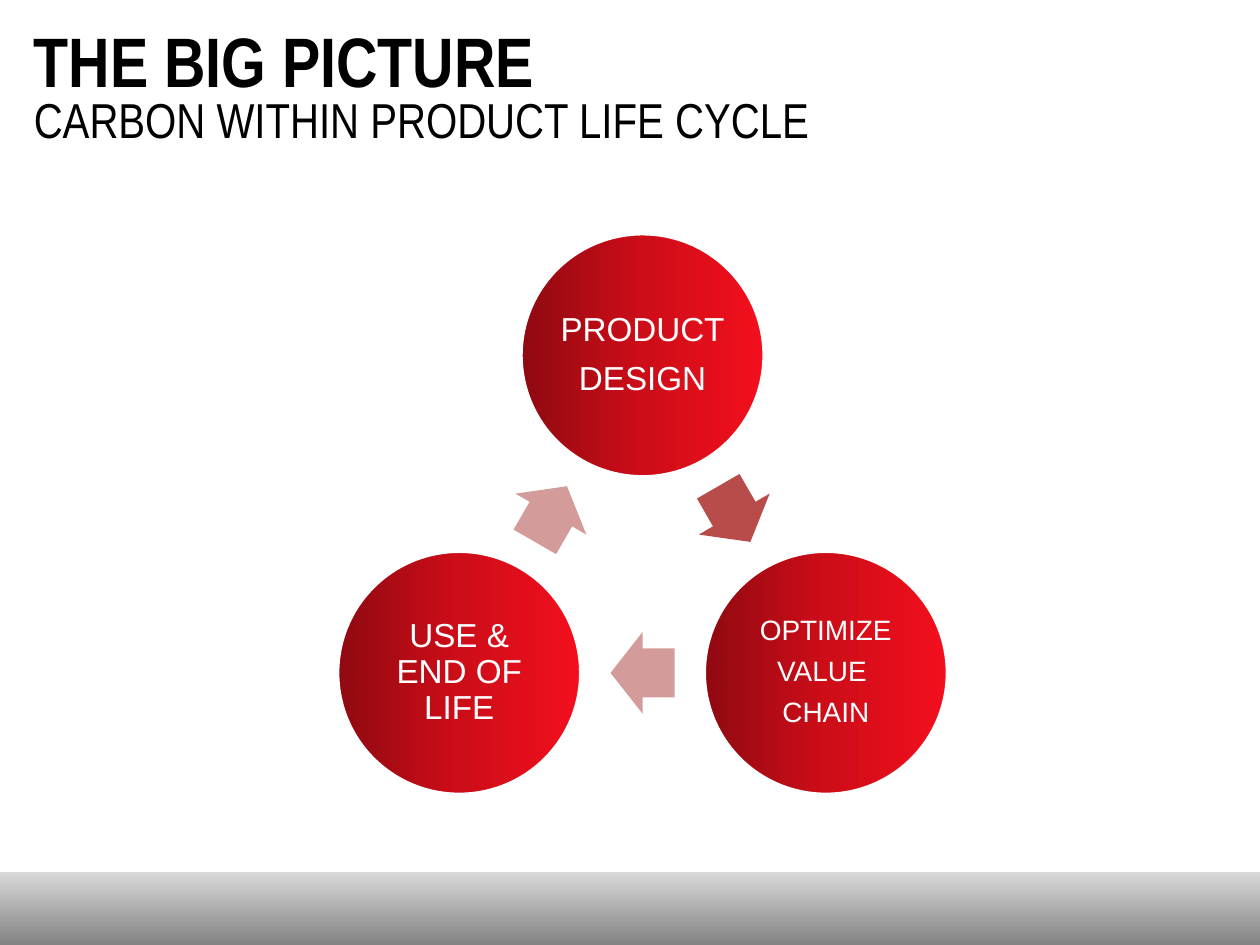
from dataclasses import dataclass
from math import cos, radians, sin

from lxml.etree import SubElement
from pptx import Presentation
from pptx.dml.color import RGBColor
from pptx.enum.shapes import MSO_SHAPE
from pptx.enum.text import MSO_ANCHOR, PP_ALIGN
from pptx.oxml.ns import qn
from pptx.util import Inches, Pt

WIDE, HIGH = 10, 7.5
MID_X, MID_Y = WIDE * 0.51, HIGH * 0.6
RING = 1.68
DISC = 1.93
ARROW_W, ARROW_H = 0.51, 0.65
REDS = [(0, "900911"), (50, "CD0D18"), (100, "F30F1D")]
GREYS = [(0, "808080"), (100, "D9D9D9")]


@dataclass
class Stage:
    lines: list[str]
    size: int
    inset: float
    arrow: str


STAGES = [
    Stage(["PRODUCT", "DESIGN"], 19, 0.03, "B74C4A"),
    Stage(["OPTIMIZE", "VALUE ", "CHAIN"], 16, 0.02, "D39C9B"),
    Stage(["USE & END OF LIFE"], 19, 0.03, "D39C9B"),
]


def color(code: str) -> RGBColor:
    return RGBColor.from_string(code)


def add_shape(slide, kind, left: float, top: float, width: float, height: float):
    shape = slide.shapes.add_shape(
        kind, Inches(left), Inches(top), Inches(width), Inches(height))
    shape.shadow.inherit = False
    shape.line.fill.background()
    return shape


def blend(shape, stops: list[tuple[int, str]], angle: int) -> None:
    """Fill with a linear gradient; the angle runs clockwise from the right."""
    shape.fill.gradient()
    grad = shape.fill._fill._gradFill
    for child in list(grad):
        grad.remove(child)
    items = SubElement(grad, qn("a:gsLst"))
    for place, code in stops:
        stop = SubElement(items, qn("a:gs"), pos=str(place * 1000))
        SubElement(stop, qn("a:srgbClr"), val=code)
    SubElement(grad, qn("a:lin"), ang=str(angle * 60000), scaled="0")


def add_line(para, text: str, size: int, face: str, code: str, bold: bool = False) -> None:
    run = para.add_run()
    run.text = text
    run.font.size = Pt(size)
    run.font.name = face
    run.font.bold = bold
    run.font.color.rgb = color(code)


def paras(frame, count: int, gap: float) -> list:
    """Return the frame's paragraphs, extended to count and spaced."""
    for _ in range(count - 1):
        frame.add_paragraph()
    for para in frame.paragraphs:
        para.line_spacing = gap
    return list(frame.paragraphs)


def add_title(slide) -> None:
    box = slide.shapes.add_textbox(
        Inches(0.17), Inches(0.22), Inches(9.41), Inches(1.02))
    box.text_frame.word_wrap = True
    head, sub = paras(box.text_frame, 2, 0.8)
    add_line(head, "THE BIG PICTURE", 40, "Arial Narrow", "000000", True)
    add_line(sub, "CARBON WITHIN PRODUCT LIFE CYCLE", 28, "Arial Narrow", "000000")


def add_disc(slide, stage: Stage, angle: float) -> None:
    x = MID_X + RING * cos(radians(angle))
    y = MID_Y + RING * sin(radians(angle))
    disc = add_shape(slide, MSO_SHAPE.OVAL, x - DISC / 2, y - DISC / 2, DISC, DISC)
    blend(disc, REDS, 0)
    disc.line.color.rgb = color("FFFFFF")
    disc.line.width = Pt(2)
    frame = disc.text_frame
    frame.word_wrap = True
    frame.vertical_anchor = MSO_ANCHOR.MIDDLE
    frame.margin_left = frame.margin_right = Inches(stage.inset)
    frame.margin_top = frame.margin_bottom = Inches(stage.inset)
    for para, text in zip(paras(frame, len(stage.lines), 0.9), stage.lines):
        para.alignment = PP_ALIGN.CENTER
        para.space_after = Pt(round(stage.size * 0.38, 1))
        add_line(para, text, stage.size, "Arial", "FFFFFF")


def add_arrow(slide, code: str, angle: float) -> None:
    """Place an arrow midway along a side of the triangle of discs."""
    x = MID_X + RING / 2 * cos(radians(angle))
    y = MID_Y + RING / 2 * sin(radians(angle))
    arrow = add_shape(slide, MSO_SHAPE.RIGHT_ARROW,
                      x - ARROW_W / 2, y - ARROW_H / 2, ARROW_W, ARROW_H)
    arrow.adjustments[0] = 0.6
    arrow.adjustments[1] = 0.5
    arrow.rotation = (angle + 90) % 360
    arrow.fill.solid()
    arrow.fill.fore_color.rgb = color(code)


def main() -> None:
    deck = Presentation()
    deck.slide_width, deck.slide_height = Inches(WIDE), Inches(HIGH)
    slide = deck.slides.add_slide(deck.slide_layouts[6])
    add_title(slide)
    band = add_shape(slide, MSO_SHAPE.RECTANGLE, 0, 6.92, WIDE, HIGH * 0.08)
    blend(band, GREYS, 270)
    step = 360 / len(STAGES)
    for index, stage in enumerate(STAGES):
        angle = index * step - 90
        add_disc(slide, stage, angle)
        add_arrow(slide, stage.arrow, angle + step / 2)
    deck.save("out.pptx")


if __name__ == "__main__":
    main()
